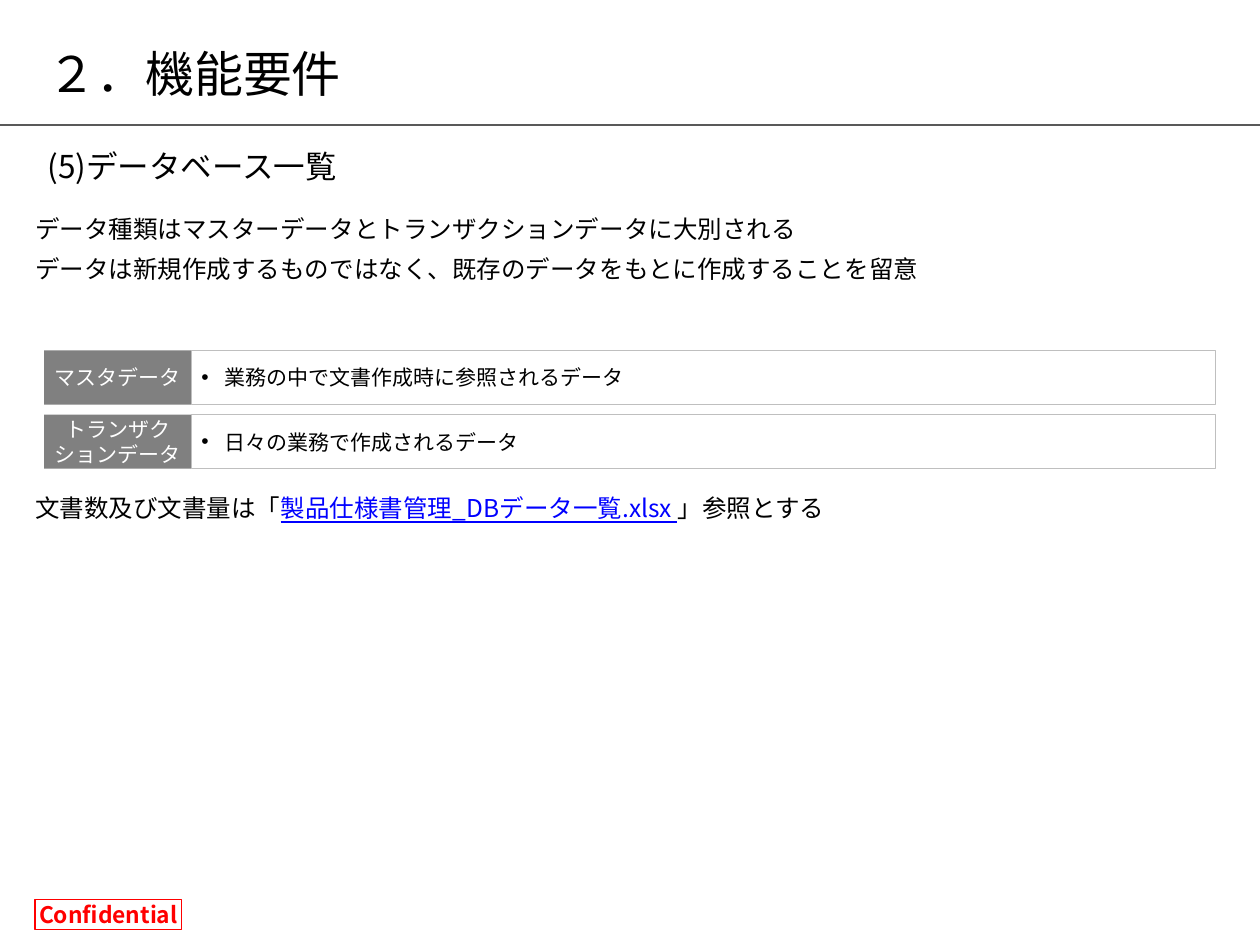
from lxml.etree import SubElement
from pptx import Presentation
from pptx.dml.color import RGBColor
from pptx.enum.shapes import MSO_CONNECTOR, MSO_SHAPE
from pptx.enum.text import MSO_ANCHOR, PP_ALIGN
from pptx.oxml.ns import qn
from pptx.util import Pt

FONT = "Noto Sans CJK JP"
BLACK = RGBColor(0x00, 0x00, 0x00)
WHITE = RGBColor(0xFF, 0xFF, 0xFF)
GRAY = RGBColor(0x80, 0x80, 0x80)
SILVER = RGBColor(0xBF, 0xBF, 0xBF)
DARK = RGBColor(0x59, 0x59, 0x59)
RED = RGBColor(0xFF, 0x00, 0x00)
BLUE = RGBColor(0x00, 0x00, 0xFF)

ROWS = [
    ("マスタデータ", "業務の中で文書作成時に参照されるデータ"),
    ("トランザクションデータ", "日々の業務で作成されるデータ"),
]


def add_run(para, text, size, color=BLACK, bold=False, under=False):
    run = para.add_run()
    run.text = text
    font = run.font
    font.size = Pt(size)
    font.bold = bold
    font.underline = under
    font.color.rgb = color
    font.name = FONT
    SubElement(run._r.get_or_add_rPr(), qn("a:ea"), typeface=FONT)


def set_frame(shape, inset, anchor, wrap=True):
    frame = shape.text_frame
    frame.word_wrap = wrap
    frame.vertical_anchor = anchor
    frame.margin_left = frame.margin_right = Pt(inset[0])
    frame.margin_top = frame.margin_bottom = Pt(inset[1])
    return frame


def add_text(slide, left, top, width, height, inset=(7.2, 3.6), anchor=MSO_ANCHOR.TOP):
    box = slide.shapes.add_textbox(Pt(left), Pt(top), Pt(width), Pt(height))
    return set_frame(box, inset, anchor)


def add_box(slide, left, top, width, height, inset, fill=None, line=None, weight=0.5, wrap=True):
    box = slide.shapes.add_shape(
        MSO_SHAPE.RECTANGLE, Pt(left), Pt(top), Pt(width), Pt(height))
    box.shadow.inherit = False
    if fill is None:
        box.fill.background()
    else:
        box.fill.solid()
        box.fill.fore_color.rgb = fill
    if line is None:
        box.line.fill.background()
    else:
        box.line.color.rgb = line
        box.line.width = Pt(weight)
    return set_frame(box, (inset, inset), MSO_ANCHOR.MIDDLE, wrap).paragraphs[0]


def add_rule(slide, top, width):
    rule = slide.shapes.add_connector(
        MSO_CONNECTOR.STRAIGHT, 0, Pt(top), Pt(width), Pt(top))
    rule.line.color.rgb = DARK
    rule.line.width = Pt(0.75)
    SubElement(rule._element.spPr, qn("a:effectLst"))


def set_bullet(para, indent):
    props = para._p.get_or_add_pPr()
    props.set("marL", str(Pt(indent)))
    props.set("indent", str(-Pt(indent)))
    SubElement(props, qn("a:buFont"), typeface="Arial")
    SubElement(props, qn("a:buChar"), char="•")


def add_row(slide, top, label, note):
    para = add_box(slide, 25.2, top, 84.2, 31, 5.7, GRAY)
    para.alignment = PP_ALIGN.CENTER
    add_run(para, label, 12, WHITE)
    para = add_box(slide, 109.4, top, 585.4, 31, 5.7, WHITE, SILVER)
    para.alignment = PP_ALIGN.LEFT
    set_bullet(para, 13.5)
    add_run(para, note, 12)


def add_body(slide):
    frame = add_text(slide, 20, 122.4, 677.5, 196.5, (0, 0))
    first = frame.paragraphs[0]
    add_run(first, "データ種類はマスターデータとトランザクションデータに大別される", 14)
    second = frame.add_paragraph()
    second.space_before = Pt(6)
    add_run(second, "データは新規作成するものではなく、既存のデータをもとに作成することを留意", 14)
    last = frame.add_paragraph()
    last.space_before = Pt(120)
    add_run(last, "文書数及び文書量は「", 14)
    add_run(last, "製品仕様書管理_DBデータ一覧.xlsx ", 14, BLUE, under=True)
    add_run(last, "」参照とする", 14)


def main():
    deck = Presentation()
    deck.slide_width, deck.slide_height = Pt(720), Pt(540)
    slide = deck.slides.add_slide(deck.slide_layouts[6])

    add_rule(slide, 71.5, 720)
    mark = add_box(slide, 20, 514, 83.7, 17, 2.8, line=RED, weight=0.75, wrap=False)
    mark.alignment = PP_ALIGN.CENTER
    add_run(mark, "Confidential", 13, RED, bold=True)

    title = add_text(slide, 20, 21, 546, 41, anchor=MSO_ANCHOR.BOTTOM)
    add_run(title.paragraphs[0], "２．機能要件", 28)
    head = add_text(slide, 20, 82.8, 680, 28.8).paragraphs[0]
    head.line_spacing = 0.9
    add_run(head, "(5)データベース一覧", 18)

    add_body(slide)
    for index, (label, note) in enumerate(ROWS):
        add_row(slide, 200.2 + index * 36.7, label, note)
    deck.save("out.pptx")


if __name__ == "__main__":
    main()
